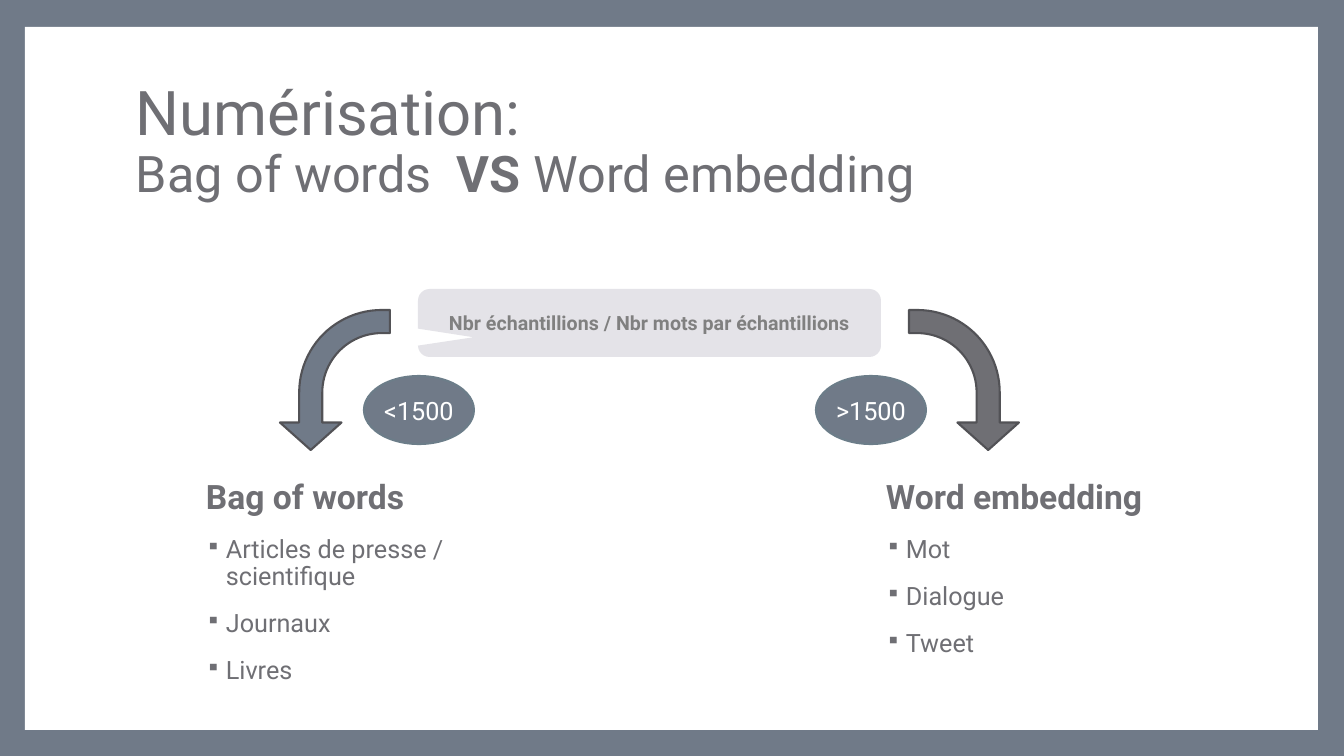
"""Build the slide comparing bag of words with word embedding."""
from lxml.etree import SubElement
from pptx import Presentation
from pptx.dml.color import RGBColor
from pptx.enum.shapes import MSO_SHAPE
from pptx.enum.text import MSO_ANCHOR, PP_ALIGN
from pptx.oxml.ns import qn
from pptx.util import Emu, Pt

SLATE = RGBColor(0x70, 0x7A, 0x88)
SLATE_EDGE = RGBColor(0x6C, 0x7D, 0x89)
GREY = RGBColor(0x6F, 0x6F, 0x74)
MID_GREY = RGBColor(0x80, 0x80, 0x80)
DARK_GREY = RGBColor(0x52, 0x52, 0x56)
PALE_GREY = RGBColor(0xE4, 0xE3, 0xE8)
WHITE = RGBColor(0xFF, 0xFF, 0xFF)
FONT = "Roboto"
PX_PER_INCH = 100.8


def px(length):
    return Emu(round(length * 914400 / PX_PER_INCH))


def add_run(paragraph, text, *, size, color=GREY, bold=False):
    run = paragraph.add_run()
    run.text = text
    run.font.name = FONT
    run.font.size = Pt(size)
    run.font.bold = bold
    run.font.color.rgb = color


def add_figure(slide, preset, box, fill, edge=None, adjustments=()):
    figure = slide.shapes.add_shape(preset, *map(px, box))
    figure.shadow.inherit = False
    figure.fill.solid()
    figure.fill.fore_color.rgb = fill
    if edge is None:
        figure.line.fill.background()
    else:
        figure.line.color.rgb = edge
        figure.line.width = Pt(1.5)
    for index, value in enumerate(adjustments):
        figure.adjustments[index] = value
    return figure


def add_label(figure, text, **text_format):
    frame = figure.text_frame
    frame.word_wrap = True
    frame.vertical_anchor = MSO_ANCHOR.MIDDLE
    label = frame.paragraphs[0]
    label.alignment = PP_ALIGN.CENTER
    add_run(label, text, **text_format)


def add_text_frame(slide, box):
    frame = slide.shapes.add_textbox(*map(px, box)).text_frame
    frame.word_wrap = True
    return frame


def add_title(slide):
    frame = add_text_frame(slide, (126, 68, 1089, 149))
    frame.vertical_anchor = MSO_ANCHOR.MIDDLE
    title = frame.paragraphs[0]
    title.line_spacing = 0.9
    add_run(title, "Numérisation: ", size=44)
    title.add_line_break()
    add_run(title, "Bag of words  ", size=36)
    add_run(title, "VS", size=36, bold=True)
    add_run(title, " Word embedding", size=36)


def set_indent(paragraph, left, first=0):
    properties = paragraph._p.get_or_add_pPr()
    properties.set("marL", str(px(left)))
    properties.set("indent", str(px(first)))
    return properties


def add_bullet(paragraph):
    properties = set_indent(paragraph, 25, -20)
    bullet_color = SubElement(properties, qn("a:buClr"))
    SubElement(bullet_color, qn("a:srgbClr"), val=str(GREY))
    SubElement(properties, qn("a:buSzPct"), val="80000")
    SubElement(properties, qn("a:buChar"), char="▪")


def add_method(slide, left, heading, uses):
    frame = add_text_frame(slide, (left, 476, 397, 292))
    for index, text in enumerate([heading, *uses]):
        paragraph = frame.add_paragraph() if index else frame.paragraphs[0]
        paragraph.line_spacing = 0.9
        paragraph.space_before = Pt(14)
        if index:
            add_bullet(paragraph)
            add_run(paragraph, text, size=18)
        else:
            set_indent(paragraph, 5)
            add_run(paragraph, text, size=24, bold=True)


def add_branch_arrow(slide, left, fill, rotation, mirrored=False):
    arrow = add_figure(slide, MSO_SHAPE.BENT_ARROW, (left, 325, 140, 110), fill,
                       DARK_GREY, (0.21, 0.28, 0.25, 0.75))
    arrow.rotation = rotation
    if mirrored:
        arrow.element.spPr.find(qn("a:xfrm")).set("flipH", "1")


def add_threshold(slide, left, text):
    threshold = add_figure(slide, MSO_SHAPE.OVAL, (left, 376, 110, 68), SLATE, SLATE_EDGE)
    threshold.text_frame.margin_left = threshold.text_frame.margin_right = 0
    add_label(threshold, text, size=18, color=WHITE)


def main():
    deck = Presentation()
    deck.slide_width, deck.slide_height = px(1344), px(756)
    slide = deck.slides.add_slide(deck.slide_layouts[6])
    slide.background.fill.solid()
    slide.background.fill.fore_color.rgb = SLATE

    add_figure(slide, MSO_SHAPE.RECTANGLE, (25, 27, 1293, 703), WHITE)
    add_title(slide)
    add_method(slide, 191, "Bag of words",
               ["Articles de presse / scientifique", "Journaux", "Livres"])
    criterion = add_figure(slide, MSO_SHAPE.ROUNDED_RECTANGULAR_CALLOUT,
                           (418, 289, 463, 68), PALE_GREY,
                           adjustments=(-0.38, 0.21, 0.17))
    add_label(criterion, "Nbr échantillions / Nbr mots par échantillions",
              size=14, color=MID_GREY, bold=True)
    add_branch_arrow(slide, 265, SLATE, 270, mirrored=True)
    add_threshold(slide, 364, "<1500")
    add_branch_arrow(slide, 894, GREY, 90)
    add_threshold(slide, 816, ">1500")
    add_method(slide, 871, "Word embedding", ["Mot", "Dialogue", "Tweet"])
    deck.save("out.pptx")


if __name__ == "__main__":
    main()
